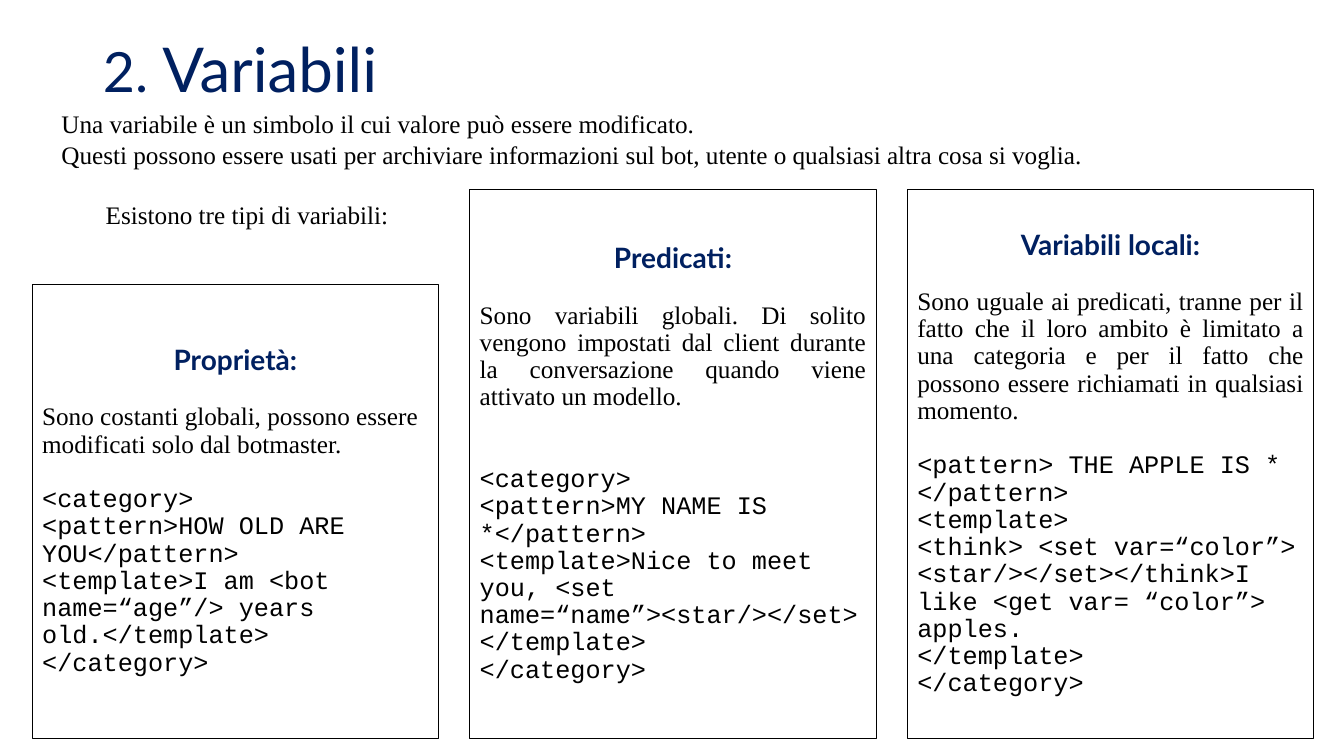
from dataclasses import dataclass

from pptx import Presentation
from pptx import util as u
from pptx.dml import color
from pptx.enum import shapes, text

PX = 9144
COLORS = {"navy": "002060", "black": "000000"}
HEADING = {"name": "Lato", "size": u.Pt(20), "bold": True}
BODY = {"name": "Times New Roman", "size": u.Pt(18), "bold": False}
CODE = {"name": "Courier New", "size": u.Pt(18), "bold": False}
CARD_LEFT, CARD_PITCH, CARD_WIDTH, CARD_BOTTOM = 32, 434, 403, 733
BLANK_LINE = 19.5
INTRO_INDENT = 44


@dataclass(frozen=True)
class Card:
    heading: str
    body: str
    code: tuple[str, ...]
    top: int = 188
    justified: bool = True
    code_gap: int = 1


CARDS = [
    Card(
        "Proprietà:",
        "Sono costanti globali, possono essere modificati solo dal botmaster.",
        (
            "<category>",
            "<pattern>HOW OLD ARE YOU</pattern>",
            "<template>I am <bot name=“age”/> years old.</template>",
            "</category>",
        ),
        top=282,
        justified=False,
    ),
    Card(
        "Predicati:",
        "Sono variabili globali. Di solito vengono impostati dal client durante "
        "la conversazione quando viene attivato un modello.",
        (
            "<category>",
            "<pattern>MY NAME IS *</pattern>",
            "<template>Nice to meet you, <set name=“name”><star/></set>",
            "</template>",
            "</category>",
        ),
        code_gap=2,
    ),
    Card(
        "Variabili locali:",
        "Sono uguale ai predicati, tranne per il fatto che il loro ambito è "
        "limitato a una categoria e per il fatto che possono essere richiamati "
        "in qualsiasi momento.",
        (
            "<pattern> THE APPLE IS * </pattern>",
            "<template>",
            "<think> <set var=“color”> <star/></set></think>I like <get var= “color”> apples.",
            "</template>",
            "</category>",
        ),
    ),
]


def px(*values: int) -> list[int]:
    return [value * PX for value in values]


def apply(target, values: dict) -> None:
    for name, value in values.items():
        setattr(target, name, value)


def add_span(para, words: str, font: dict, tint: str = "black") -> None:
    span = para.add_run()
    span.text = words
    apply(span.font, font)
    span.font.color.rgb = color.RGBColor.from_string(COLORS[tint])


def add_para(frame, words: str, font: dict, tint: str = "black",
             align=text.PP_ALIGN.LEFT, before: float = 0, spacing: float = 0.9):
    first = frame.paragraphs[0]
    para = frame.add_paragraph() if first.runs else first
    apply(para, {"alignment": align, "line_spacing": spacing,
                 "space_before": u.Pt(before), "space_after": u.Pt(0)})
    add_span(para, words, font, tint)
    return para


def draw_title(page) -> None:
    title = page.shapes.title
    apply(title, dict(zip(("left", "top", "width", "height"), px(92, 40, 370, 63))))
    frame = title.text_frame
    apply(frame, {"auto_size": text.MSO_AUTO_SIZE.NONE, "word_wrap": True,
                  "vertical_anchor": text.MSO_ANCHOR.MIDDLE})
    para = add_para(frame, "2. ", {"name": "Lato", "size": u.Pt(39.6)}, "navy")
    add_span(para, "Variabili", {"name": "Lato", "size": u.Pt(44.1)}, "navy")


def draw_intro(page) -> None:
    frame = page.shapes.add_textbox(*px(51, 103, 1191, 131)).text_frame
    apply(frame, {"word_wrap": True, "auto_size": text.MSO_AUTO_SIZE.SHAPE_TO_FIT_TEXT})
    add_para(frame, "Una variabile è un simbolo il cui valore può essere modificato.",
             BODY, spacing=1.0)
    add_para(frame, "Questi possono essere usati per archiviare informazioni sul bot, "
             "utente o qualsiasi altra cosa si voglia.", BODY, spacing=1.0)
    para = add_para(frame, "Esistono tre tipi di variabili:", BODY,
                    before=21.5, spacing=1.0)
    para._p.get_or_add_pPr().set("marL", str(INTRO_INDENT * PX))


def draw_card(page, card: Card, left: int) -> None:
    box = page.shapes.add_shape(
        shapes.MSO_SHAPE.RECTANGLE,
        *px(left, card.top, CARD_WIDTH, CARD_BOTTOM - card.top))
    box.shadow.inherit = False
    box.fill.background()
    box.line.color.rgb = color.RGBColor.from_string(COLORS["black"])
    box.line.width = u.Pt(0.75)
    frame = box.text_frame
    apply(frame, {"word_wrap": True, "vertical_anchor": text.MSO_ANCHOR.MIDDLE})
    add_para(frame, card.heading, HEADING, "navy", text.PP_ALIGN.CENTER)
    align = text.PP_ALIGN.JUSTIFY if card.justified else text.PP_ALIGN.LEFT
    add_para(frame, card.body, BODY, align=align, before=BLANK_LINE)
    for index, line in enumerate(card.code):
        gap = 0 if index else card.code_gap * BLANK_LINE
        add_para(frame, line, CODE, before=gap)


def main() -> None:
    deck = Presentation()
    deck.slide_width, deck.slide_height = px(1333, 750)
    page = deck.slides.add_slide(deck.slide_layouts[5])
    draw_title(page)
    draw_intro(page)
    for index, card in enumerate(CARDS):
        draw_card(page, card, CARD_LEFT + index * CARD_PITCH)
    deck.save("out.pptx")


if __name__ == "__main__":
    main()
